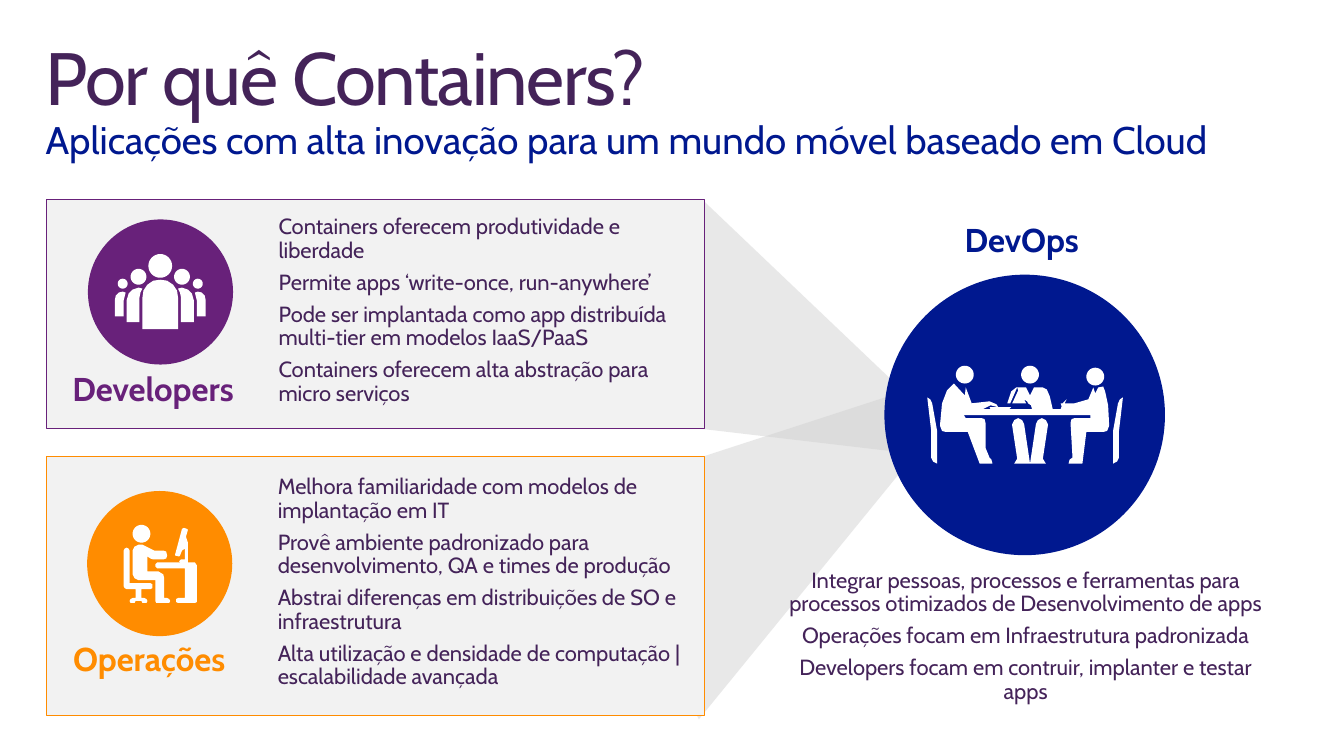
from math import cos, sin, pi
from lxml.etree import SubElement
from pptx import Presentation
from pptx.dml.color import RGBColor
from pptx.enum.shapes import MSO_SHAPE
from pptx.enum.text import MSO_ANCHOR, MSO_AUTO_SIZE, PP_ALIGN
from pptx.oxml.ns import qn
from pptx.util import Cm, Pt

COLORS = {
    "text": "442359", "navy": "00188F", "purple": "68217A", "orange": "FF8C00",
    "panel": "F2F2F2", "beam": "D2D2D2", "icon": "FFFFFF",
}
FONT = "Cabin"
ICON_UNIT = 0.0254  # cm per step of the icon grids

prs = Presentation()
prs.slide_width, prs.slide_height = Cm(34.54), Cm(19.43)
slide = prs.slides.add_slide(prs.slide_layouts[5])
shapes = slide.shapes


def draw(contours, color, heads=(), left=0, top=0, unit=1):
    """Fill closed contours and round heads (x, y, radius) as one freeform."""
    circles = [[(x + r * cos(k * pi / 16), y + r * sin(k * pi / 16)) for k in range(32)]
               for x, y, r in heads]
    outlines = [[(Cm(left + x * unit), Cm(top + y * unit)) for x, y in contour]
                for contour in contours + circles]
    builder = shapes.build_freeform(*outlines[0][0], scale=1.0)
    builder.add_line_segments(outlines[0][1:], close=True)
    for outline in outlines[1:]:
        builder.move_to(*outline[0])
        builder.add_line_segments(outline[1:], close=True)
    figure = builder.convert_to_shape()
    figure.shadow.inherit = False
    figure.fill.solid()
    figure.fill.fore_color.rgb = RGBColor.from_string(COLORS[color])
    figure.line.fill.background()
    return figure


def write(lines, box, size, color, bold=False, wrap=True, align=PP_ALIGN.LEFT):
    frame = shapes.add_textbox(*map(Cm, box)).text_frame
    frame.text = "\n".join(lines)
    frame.word_wrap = wrap
    frame.auto_size = MSO_AUTO_SIZE.SHAPE_TO_FIT_TEXT
    frame.margin_left = frame.margin_right = Cm(0.51)
    frame.margin_top = frame.margin_bottom = Cm(0.41)
    for paragraph in frame.paragraphs:
        paragraph.alignment = align
        paragraph.line_spacing = 0.9
        paragraph.space_after = Pt(6)
        font = paragraph.runs[0].font
        font.name, font.size, font.bold = FONT, Pt(size), bold
        font.color.rgb = RGBColor.from_string(COLORS[color])


# Beams from the two panels to DevOps
for beam_points in (
    [(23.62, 9.93), (15.19, 12.67), (17.96, 18.49), (24.46, 10.52)],
    [(23.62, 11.68), (16.56, 10.85), (18.08, 5.16), (24.21, 11)],
):
    beam = draw([beam_points], "beam")
    beam_color = beam.fill._xPr.find(qn("a:solidFill"))[0]
    SubElement(beam_color, qn("a:alpha"), val="50000")

# Title and subtitle
title = shapes.title
title.left, title.top, title.width, title.height = Cm(0.76), Cm(0.81), Cm(33.02), Cm(2.54)
heading = title.text_frame
heading.text = "Por quê Containers?\vAplicações com alta inovação para um mundo móvel baseado em Cloud"
heading.auto_size = MSO_AUTO_SIZE.NONE
heading.vertical_anchor = MSO_ANCHOR.TOP
heading.margin_left = heading.margin_right = Cm(0.41)
heading.margin_top = heading.margin_bottom = Cm(0.25)
heading.paragraphs[0].alignment = PP_ALIGN.LEFT
heading.paragraphs[0].line_spacing = 0.9
for run, size, color, spacing in zip(heading.paragraphs[0].runs, (54, 28), ("text", "navy"), ("-100", "0")):
    run.font.name, run.font.size = FONT, Pt(size)
    run.font.color.rgb = RGBColor.from_string(COLORS[color])
    run.font._element.set("spc", spacing)

# Panels and discs: kind, box, fill, outline
for kind, box, fill, outline in (
    (MSO_SHAPE.RECTANGLE, (1.19, 5.13, 16.92, 5.89), "panel", "purple"),
    (MSO_SHAPE.OVAL, (2.26, 5.64, 3.73, 3.73), "purple", None),
    (MSO_SHAPE.RECTANGLE, (1.19, 11.73, 16.92, 6.65), "panel", "orange"),
    (MSO_SHAPE.OVAL, (2.24, 12.62, 3.73, 3.73), "orange", None),
    (MSO_SHAPE.OVAL, (22.73, 7.06, 7.21, 7.21), "navy", None),
):
    area = shapes.add_shape(kind, *map(Cm, box))
    area.shadow.inherit = False
    area.fill.solid()
    area.fill.fore_color.rgb = RGBColor.from_string(COLORS[fill])
    if outline:
        area.line.color.rgb = RGBColor.from_string(COLORS[outline])
        area.line.width = Pt(0.75)
    else:
        area.line.fill.background()

# Team icon: the right-hand people are mirrored to the left
leader = [(28, 76), (28, 44), (29, 37), (33, 31), (39, 27), (46, 26), (53, 27),
          (59, 31), (63, 37), (64, 44), (64, 76)]
colleagues = [
    [(67, 69), (67, 44), (66, 39), (64, 35), (68, 34), (74, 36), (78, 40), (80, 47), (80, 69)],
    [(83, 63), (83, 47), (81, 39), (84, 38), (88, 39), (91, 42), (92, 47), (92, 63)],
]
team = [leader] + colleagues + [[(92 - x, y) for x, y in body] for body in colleagues]
team_heads = [(46, 12, 12), (24, 23, 8), (68, 23, 8), (8, 30, 5), (84, 30, 5)]
draw(team, "icon", team_heads, 2.95, 6.53, ICON_UNIT)

# Operator icon
desk = [(74, 41), (72, 38), (65, 38), (65, 18), (63, 12), (65, 5), (64, 4), (61, 3), (59, 4),
        (52, 30), (52, 31), (56, 32), (57, 31), (59, 26), (62, 24), (62, 35), (58, 35), (56, 37),
        (58, 38), (34, 38), (32, 40), (32, 42), (34, 44), (62, 44), (62, 74), (55, 74), (53, 75),
        (53, 78), (55, 79), (72, 79), (74, 78)]
office_chair = [(27, 59), (6, 59), (6, 26), (5, 24), (3, 23), (1, 24), (0, 26), (0, 62), (1, 64),
                (3, 65), (12, 65), (12, 74), (9, 74), (7, 75), (6, 77), (7, 79), (11, 79), (12, 77),
                (18, 77), (19, 79), (23, 79), (24, 77), (23, 75), (21, 74), (18, 74), (18, 65),
                (27, 65), (29, 64), (29, 60)]
operator = [(44, 74), (41, 74), (41, 54), (40, 50), (35, 47), (24, 47), (24, 32), (27, 34), (30, 35),
            (40, 35), (43, 34), (44, 31), (43, 27), (40, 26), (31, 26), (23, 22), (19, 20), (15, 20),
            (11, 22), (9, 26), (9, 50), (11, 54), (15, 56), (32, 56), (32, 77), (33, 79), (46, 79),
            (47, 77), (46, 75)]
draw([desk, office_chair, operator], "icon", [(18, 9, 9)], 3.18, 13.49, ICON_UNIT)

# Meeting icon: chairs and the middle person's legs are mirrored
people_at_table = [
    (178, 21), (173, 22), (170, 28), (168, 22), (163, 34), (149, 38), (139, 38), (141, 34), (137, 38),
    (135, 38), (136, 41), (135, 44), (127, 44), (124, 31), (121, 24), (117, 22), (108, 22), (104, 30),
    (100, 22), (90, 22), (85, 26), (81, 38), (84, 38), (91, 22), (92, 25), (86, 38), (100, 38),
    (98, 34), (101, 36), (102, 38), (105, 40), (106, 44), (83, 44), (85, 42), (63, 42), (64, 44),
    (56, 44), (64, 40), (72, 42), (70, 39), (63, 36), (45, 38), (39, 22), (38, 30), (27, 18), (20, 25),
    (15, 38), (13, 59), (13, 61), (15, 66), (19, 67), (41, 67), (53, 99), (66, 99), (65, 95), (63, 93),
    (59, 83), (59, 58), (58, 54), (55, 53), (39, 53), (37, 50), (165, 50), (165, 53), (149, 53),
    (146, 54), (145, 58), (147, 93), (144, 95), (143, 99), (157, 99), (161, 67), (178, 67), (182, 66),
    (184, 61), (184, 59), (183, 40), (180, 26),
]
chair = [(0, 32), (4, 66), (4, 93), (6, 97), (10, 99), (10, 66), (5, 38), (3, 34)]
leg = [(92, 53), (88, 55), (86, 59), (86, 61), (91, 94), (88, 99), (104, 99), (98, 59), (96, 55)]
meeting = [people_at_table, chair, [(198 - x, y) for x, y in chair],
           leg, [(208 - x, y) for x, y in leg]]
draw(meeting, "icon", [(38, 9, 9), (104, 9, 9), (170, 11, 9)], 23.83, 9.4, ICON_UNIT)

# Labels
for label, box, color in (
    ("Developers", (1.35, 9.17, 5.51, 1.75), "purple"),
    ("Operações", (1.37, 16.13, 5.23, 1.75), "orange"),
    ("DevOps", (24.28, 5.36, 4.14, 1.75), "navy"),
):
    write([label], box, 24, color, bold=True, wrap=False)

# Benefits
for benefits, box, align in (
    (["Containers oferecem produtividade e liberdade",
      "Permite apps ‘write-once, run-anywhere’",
      "Pode ser implantada como app distribuída multi-tier em modelos IaaS/PaaS",
      "Containers oferecem alta abstração para micro serviços"],
     (6.65, 5.13, 11.05, 6.38), PP_ALIGN.LEFT),
    (["Melhora familiaridade com modelos de implantação em IT",
      "Provê ambiente padronizado para desenvolvimento, QA e times de produção",
      "Abstrai diferenças em distribuições de SO e infraestrutura",
      "Alta utilização e densidade de computação | escalabilidade avançada"],
     (6.63, 11.81, 11.46, 7.01), PP_ALIGN.LEFT),
    (["Integrar pessoas, processos e ferramentas para processos otimizados de Desenvolvimento de apps",
      "Operações focam em Infraestrutura padronizada",
      "Developers focam em contruir, implanter e testar apps"],
     (19.69, 14.22, 13.34, 4.95), PP_ALIGN.CENTER),
):
    write(benefits, box, 16, "text", align=align)

prs.save("out.pptx")
